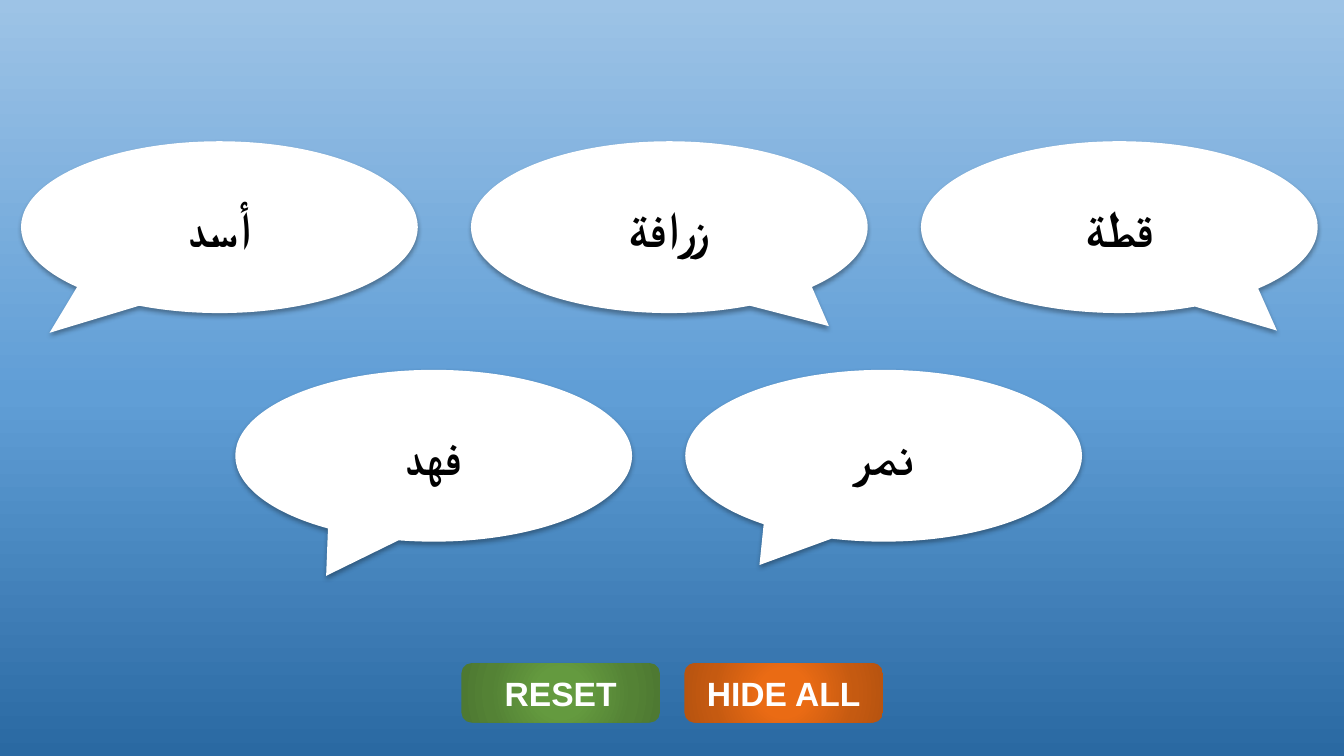
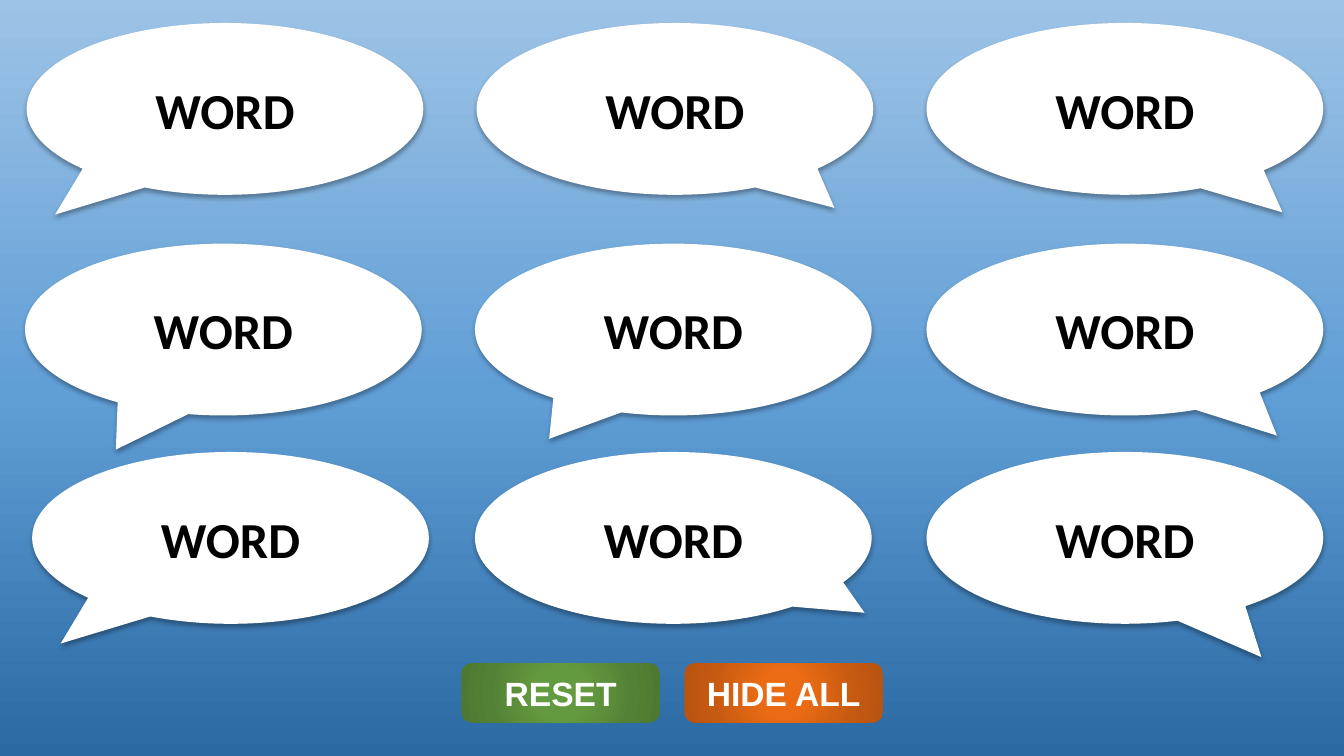
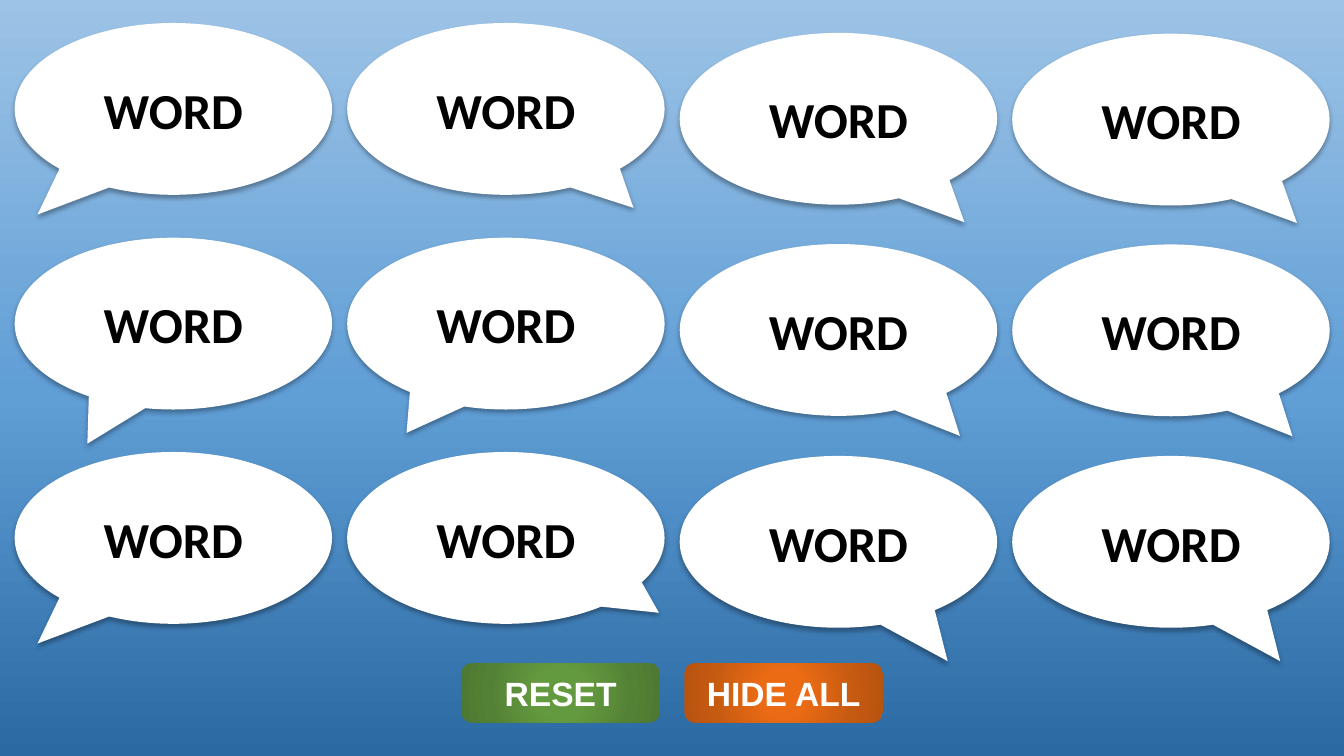
from pptx import Presentation
from pptx.dml.color import RGBColor
from pptx.enum.shapes import MSO_SHAPE
from pptx.enum.text import MSO_ANCHOR, PP_ALIGN
from pptx.oxml import parse_xml
from pptx.oxml.ns import nsdecls
from pptx.util import Cm, Pt

WHITE = RGBColor(0xFF, 0xFF, 0xFF)
BLACK = RGBColor(0x00, 0x00, 0x00)
DEEP_BLUE = RGBColor(0x2A, 0x69, 0xA2)
MID_BLUE = RGBColor(0x60, 0x9E, 0xD6)
PALE_BLUE = RGBColor(0x9D, 0xC3, 0xE6)
GREENS = [RGBColor(0x64, 0x9A, 0x3F), RGBColor(0x54, 0x82, 0x35),
          RGBColor(0x4E, 0x79, 0x32)]
ORANGES = [RGBColor(0xEA, 0x6B, 0x14), RGBColor(0xC5, 0x5A, 0x11),
           RGBColor(0xB8, 0x54, 0x10)]

UPWARD = '<a:lin ang="16200000" scaled="0"/>'
FROM_CENTRE = ('<a:path path="circle"><a:fillToRect l="50000" t="50000" '
               'r="50000" b="50000"/></a:path>')

# Tip of each bubble tail, as a share of the bubble size from its centre
FAR_LEFT = (-0.428, 0.615)
LEFT = (-0.271, 0.699)
SHORT_LEFT = (-0.313, 0.636)
SHORT_RIGHT = (0.402, 0.576)
RIGHT = (0.397, 0.602)
MIDDLE_RIGHT = (0.383, 0.617)
LONG_RIGHT = (0.344, 0.694)
FAR_RIGHT = (0.482, 0.436)

BUBBLE_HEIGHT = 4.33
WIDE_BUBBLE = 10
NARROW_BUBBLE = 8
WIDE_STEP = 11.34
NARROW_STEP = 8.38


def set_gradient(fill, element, stops, direction):
    """Give the fill inside element the (percent, colour) stops."""
    fill.gradient()
    old_gradient = element.xpath(".//a:gradFill")[0]
    stop_xml = "".join(
        f'<a:gs pos="{percent * 1000}"><a:srgbClr val="{colour}"/></a:gs>'
        for percent, colour in stops)
    new_gradient = parse_xml(
        f'<a:gradFill {nsdecls("a")} rotWithShape="1">'
        f'<a:gsLst>{stop_xml}</a:gsLst>{direction}</a:gradFill>')
    old_gradient.getparent().replace(old_gradient, new_gradient)


def set_background(master):
    stops = [(0, DEEP_BLUE), (48, MID_BLUE), (100, PALE_BLUE)]
    set_gradient(master.background.fill, master.element, stops, UPWARD)


def add_label_shape(slide, kind, left, top, width, height):
    shape = slide.shapes.add_shape(kind, Cm(left), Cm(top), Cm(width), Cm(height))
    shape.shadow.inherit = False
    shape.line.fill.background()
    return shape


def set_label(shape, text, font_name, size, colour):
    text_frame = shape.text_frame
    text_frame.text = text
    text_frame.word_wrap = True
    text_frame.vertical_anchor = MSO_ANCHOR.MIDDLE
    paragraph = text_frame.paragraphs[0]
    paragraph.alignment = PP_ALIGN.CENTER
    font = paragraph.runs[0].font
    font.name = font_name
    font.size = Pt(size)
    font.bold = True
    font.color.rgb = colour


def add_button(slide, left, text, colours):
    button = add_label_shape(slide, MSO_SHAPE.ROUNDED_RECTANGLE, left, 16.71, 5, 1.5)
    light, medium, dark = colours
    stops = [(0, light), (23, light), (69, medium), (97, dark)]
    set_gradient(button.fill, button.element, stops, FROM_CENTRE)
    set_label(button, text, "Arial", 24, WHITE)


def add_soft_shadow(shape):
    effects = shape.element.spPr.find(
        "{http://schemas.openxmlformats.org/drawingml/2006/main}effectLst")
    effects.append(parse_xml(
        f'<a:outerShdw {nsdecls("a")} blurRad="{Pt(3.5)}" dist="{Pt(2.2)}" '
        f'dir="5400000" algn="ctr" rotWithShape="0"><a:srgbClr val="{BLACK}">'
        '<a:alpha val="32000"/></a:srgbClr></a:outerShdw>'))


def add_bubble(slide, text, left, top, width, tail):
    bubble = add_label_shape(slide, MSO_SHAPE.OVAL_CALLOUT,
                             left, top, width, BUBBLE_HEIGHT)
    bubble.adjustments[0], bubble.adjustments[1] = tail
    bubble.fill.solid()
    bubble.fill.fore_color.rgb = WHITE
    add_soft_shadow(bubble)
    set_label(bubble, text, "Calibri", 36, BLACK)


def add_game_slide(presentation):
    slide = presentation.slides.add_slide(presentation.slide_layouts[6])
    add_button(slide, 11.63, "RESET", GREENS)
    add_button(slide, 17.25, "HIDE ALL", ORANGES)
    return slide


def add_five_words(presentation):
    slide = add_game_slide(presentation)
    rows = [
        (0.53, 3.56, [("أسد", FAR_LEFT), ("زرافة", SHORT_RIGHT), ("قطة", RIGHT)]),
        (5.93, 9.32, [("فهد", LEFT), ("نمر", SHORT_LEFT)]),
    ]
    for first_left, top, bubbles in rows:
        for column, (word, tail) in enumerate(bubbles):
            left = first_left + column * WIDE_STEP
            add_bubble(slide, word, left, top, WIDE_BUBBLE, tail)


def add_nine_words(presentation):
    slide = add_game_slide(presentation)
    rows = [
        (0.58, [(0.67, FAR_LEFT), (12.01, SHORT_RIGHT), (23.35, RIGHT)]),
        (6.14, [(0.63, LEFT), (11.97, SHORT_LEFT), (23.35, MIDDLE_RIGHT)]),
        (11.39, [(0.81, FAR_LEFT), (11.97, FAR_RIGHT), (23.35, LONG_RIGHT)]),
    ]
    for top, bubbles in rows:
        for left, tail in bubbles:
            add_bubble(slide, "WORD", left, top, WIDE_BUBBLE, tail)


def add_twelve_words(presentation):
    slide = add_game_slide(presentation)
    rows = [
        [(0.58, FAR_LEFT), (0.58, SHORT_RIGHT), (0.83, RIGHT), (0.85, RIGHT)],
        [(5.99, LEFT), (5.99, SHORT_LEFT), (6.15, MIDDLE_RIGHT), (6.16, MIDDLE_RIGHT)],
        [(11.39, FAR_LEFT), (11.39, FAR_RIGHT), (11.49, LONG_RIGHT), (11.49, LONG_RIGHT)],
    ]
    for bubbles in rows:
        for column, (top, tail) in enumerate(bubbles):
            left = 0.37 + column * NARROW_STEP
            add_bubble(slide, "WORD", left, top, NARROW_BUBBLE, tail)


def main():
    presentation = Presentation()
    presentation.slide_width = Cm(33.87)
    presentation.slide_height = Cm(19.05)
    set_background(presentation.slide_master)
    add_five_words(presentation)
    add_nine_words(presentation)
    add_twelve_words(presentation)
    presentation.save("out.pptx")


if __name__ == "__main__":
    main()
